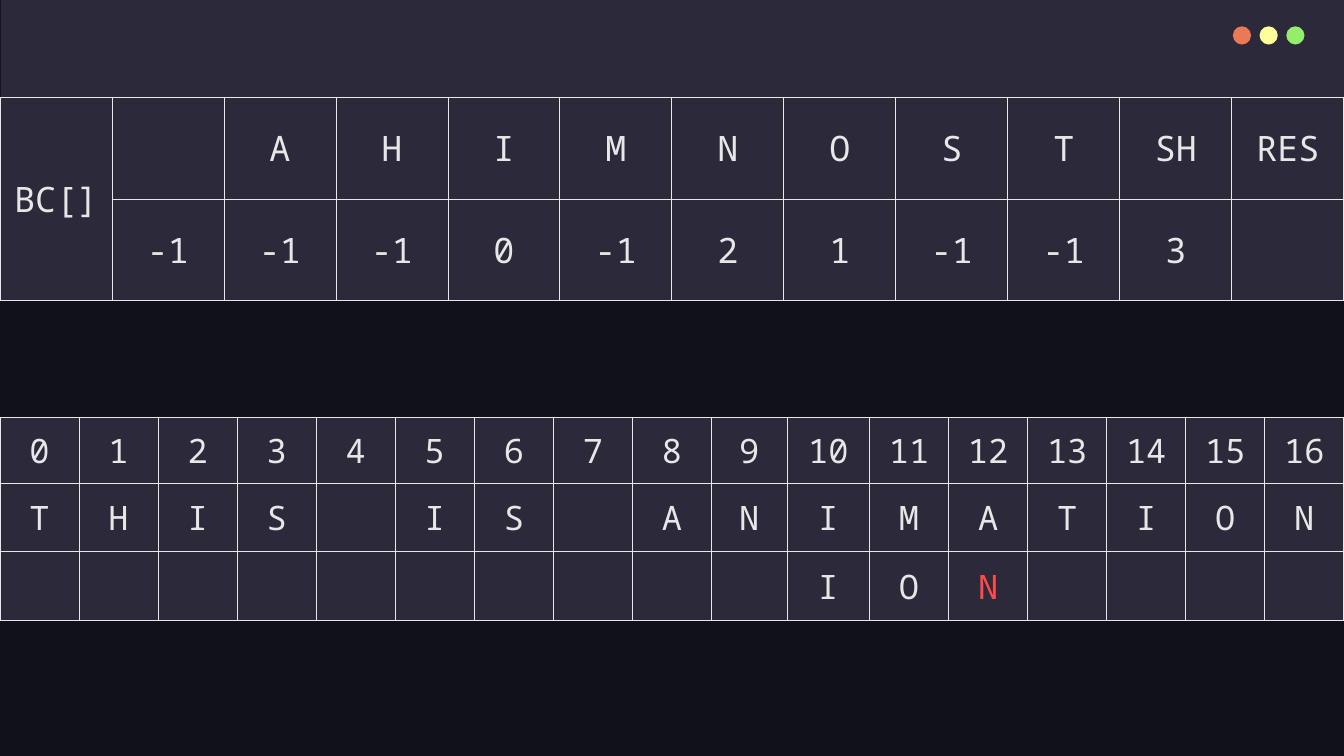
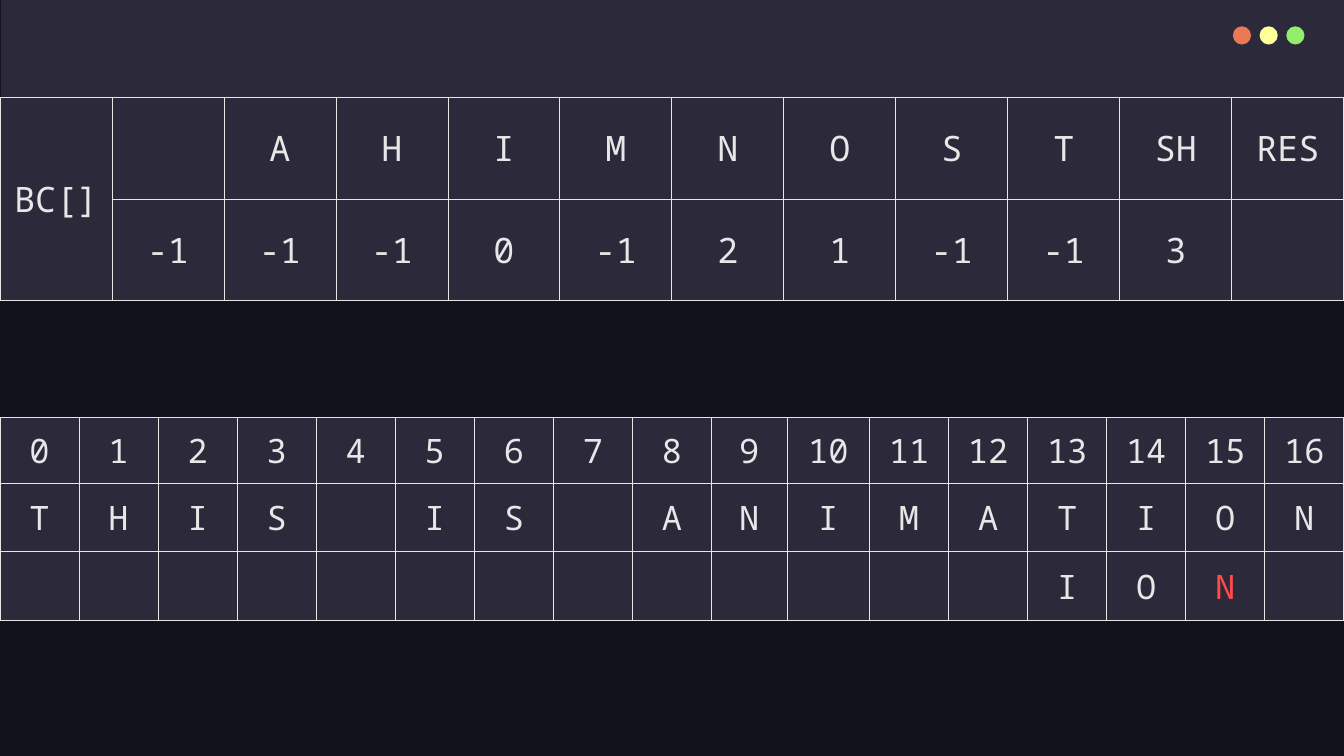
from lxml import etree
from pptx import Presentation
from pptx.dml.color import RGBColor
from pptx.enum.shapes import MSO_SHAPE
from pptx.enum.text import MSO_ANCHOR, PP_ALIGN
from pptx.oxml.ns import qn
from pptx.util import Pt

RECTANGLE = MSO_SHAPE.RECTANGLE
OVAL = MSO_SHAPE.OVAL
MIDDLE = MSO_ANCHOR.MIDDLE
CENTER = PP_ALIGN.CENTER

# Shared look
WIDTH, HEIGHT = 960, 540
FONT = "Noto Sans Mono"
BACKGROUND = "10111A"
PANEL = "2C293A"
INK = "E7E7E7"
MISMATCH = "FD4A4A"
DOT_COLORS = ("EC7955", "FFFF99", "94EE6B")

# Search data
TEXT = "THIS IS ANIMATION"
PATTERN = "ION"
SHIFTS = (10, 13)
BAD_CHARACTERS = (
    ("BC[]", "", "A", "H", "I", "M", "N", "O", "S", "T", "SH", "RES"),
    ("", "-1", "-1", "-1", "0", "-1", "2", "1", "-1", "-1", "3", ""),
)


def set_color(color_format, color):
    color_format.rgb = RGBColor.from_string(color)


def fill_solid(fill, color):
    fill.solid()
    set_color(fill.fore_color, color)


def add_plain_shape(shapes, kind, left, top, width, height, color):
    shape = shapes.add_shape(kind, Pt(left), Pt(top), Pt(width), Pt(height))
    shape.shadow.inherit = False
    shape.line.fill.background()
    fill_solid(shape.fill, color)


def add_header(slide, left, top, width, height):
    """Window bar with three buttons at its right end."""
    add_plain_shape(slide.shapes, RECTANGLE, left, top, width, height, PANEL)
    buttons = slide.shapes.add_group_shape()
    size, pitch = 13, 19.1
    first = left + width - 79.4
    for index, color in enumerate(DOT_COLORS):
        add_plain_shape(buttons.shapes, OVAL, first + index * pitch,
                        top + 18.8, size, size, color)


def set_borders(cell, color, width):
    properties = cell._tc.get_or_add_tcPr()
    for position, side in enumerate(("a:lnL", "a:lnR", "a:lnT", "a:lnB")):
        line = etree.Element(qn(side), w=str(Pt(width)))
        fill = etree.SubElement(line, qn("a:solidFill"))
        etree.SubElement(fill, qn("a:srgbClr"), val=color)
        properties.insert(position, line)


def format_cell(cell, text, size, color):
    fill_solid(cell.fill, PANEL)
    set_borders(cell, INK, 0.75)
    cell.vertical_anchor = MIDDLE
    cell.margin_left = cell.margin_right = Pt(9.4)
    cell.margin_top = cell.margin_bottom = Pt(7)
    paragraph = cell.text_frame.paragraphs[0]
    paragraph.alignment = CENTER
    if text:
        paragraph.text = text
        font = paragraph.runs[0].font
        font.name = FONT
        font.size = Pt(size)
        set_color(font.color, color)


def add_grid(slide, left, top, column_widths, row_heights, rows, size,
             highlight=None):
    """Bordered table; highlight is the (row, column) of a marked cell."""
    frame = slide.shapes.add_table(
        len(rows), len(column_widths), Pt(left), Pt(top),
        Pt(sum(column_widths)), Pt(sum(row_heights)))
    table = frame.table
    table.first_row = table.horz_banding = False
    for column, width in zip(table.columns, column_widths):
        column.width = Pt(width)
    for row, height in zip(table.rows, row_heights):
        row.height = Pt(height)
    for row_index, texts in enumerate(rows):
        for column_index, text in enumerate(texts):
            marked = (row_index, column_index) == highlight
            format_cell(table.cell(row_index, column_index), text, size,
                        MISMATCH if marked else INK)
    return table


def add_text_grid(slide, left, top, width, shift):
    """Positions, searched text, and the pattern placed at the shift."""
    count = len(TEXT)
    column_widths = [width / count] * count
    column_widths[9] -= 2.5
    column_widths[10] += 2.5
    rows = (
        [str(index) for index in range(count)],
        [letter.strip() for letter in TEXT],
        [letter.strip() for letter in (" " * shift + PATTERN).ljust(count)],
    )
    add_grid(slide, left, top, column_widths, (47.2, 48.8, 48.8), rows, 24,
             highlight=(2, shift + len(PATTERN) - 1))


def add_bad_character_grid(slide, left, top, width):
    count = len(BAD_CHARACTERS[0])
    table = add_grid(slide, left, top, [width / count] * count, (72.4, 72.4),
                     BAD_CHARACTERS, 25)
    table.cell(0, 0).merge(table.cell(1, 0))


def add_search_slide(presentation, shift):
    slide = presentation.slides.add_slide(presentation.slide_layouts[6])
    fill_solid(slide.background.fill, BACKGROUND)
    add_header(slide, 0.7, 0, WIDTH - 0.7, 121.7)
    add_text_grid(slide, 0, 298.2, WIDTH, shift)
    add_bad_character_grid(slide, 0, 69.8, WIDTH)


def main():
    presentation = Presentation()
    presentation.slide_width = Pt(WIDTH)
    presentation.slide_height = Pt(HEIGHT)
    for shift in SHIFTS:
        add_search_slide(presentation, shift)
    presentation.save("out.pptx")


if __name__ == "__main__":
    main()
